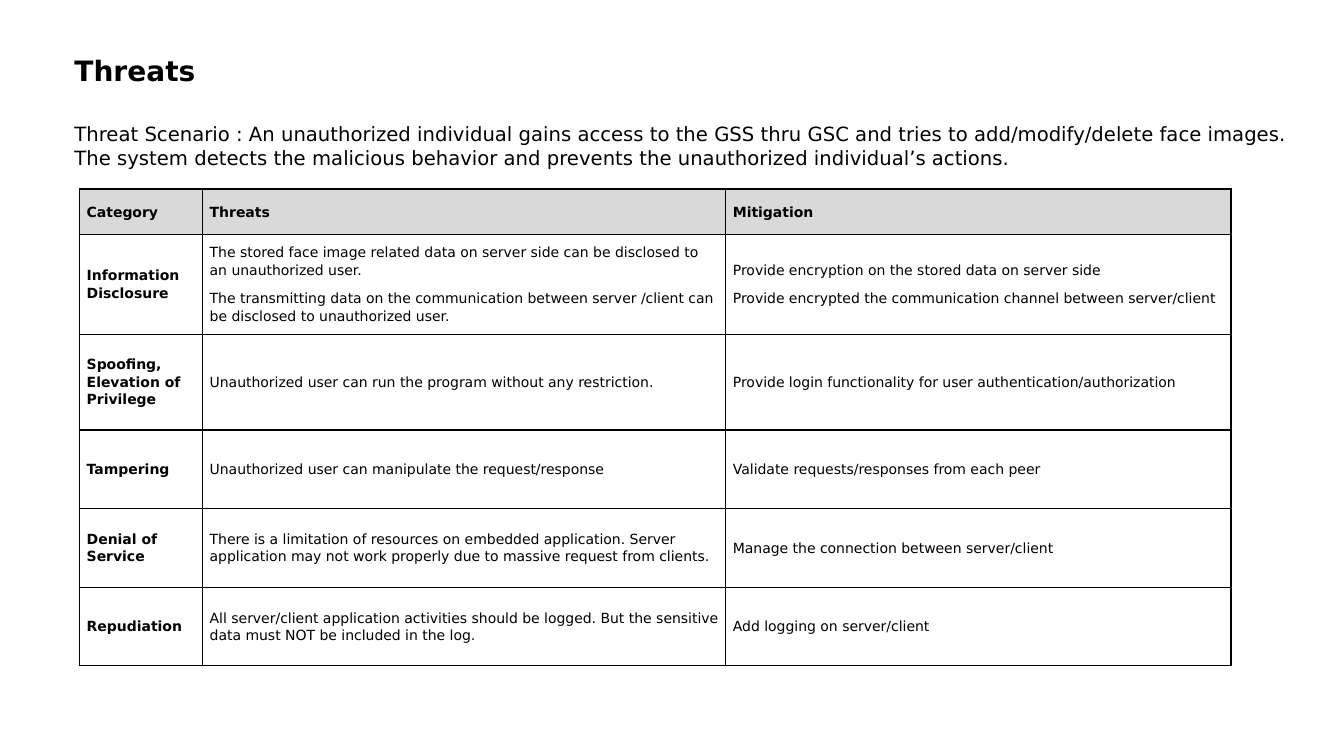
import pptx
import pptx.dml.color
import pptx.enum.text
import pptx.oxml
import pptx.oxml.ns
import pptx.util
from dataclasses import dataclass

SLIDE_W = pptx.util.Inches(13.33)
SLIDE_H = pptx.util.Inches(7.5)


@dataclass(frozen=True)
class Theme:
    font: str = "DejaVu Sans"
    ink: str = "000000"
    paper: str = "FFFFFF"
    header: str = "D9D9D9"
    title_size: int = 20
    scenario_size: int = 14
    table_size: int = 10
    border: int = 1


THEME = Theme()
MIDDLE = pptx.enum.text.MSO_ANCHOR.MIDDLE
TOP = pptx.enum.text.MSO_ANCHOR.TOP

SCENARIO = (
    "Threat Scenario : An unauthorized individual gains access to the GSS thru GSC "
    "and tries to add/modify/delete face images. The system detects the malicious "
    "behavior and prevents the unauthorized individual’s actions."
)

# Column widths and row heights, in percent of the slide
COLUMNS = [9.15, 38.93, 37.58]
ROWS = [6, 13.2, 12.67, 10.4, 10.4, 10.4]

# Each cell is a list of paragraphs
THREATS = [
    (["Category"], ["Threats"], ["Mitigation"]),
    (["Information Disclosure"],
     ["The stored face image related data on server side can be disclosed to an "
      "unauthorized user.",
      "The transmitting data on the communication between server /client can be "
      "disclosed to unauthorized user."],
     ["Provide encryption on the stored data on server side",
      "Provide encrypted the communication channel between server/client"]),
    (["Spoofing, Elevation of Privilege"],
     ["Unauthorized user can run the program without any restriction."],
     ["Provide login functionality for user authentication/authorization"]),
    (["Tampering"],
     ["Unauthorized user can manipulate the request/response"],
     ["Validate requests/responses from each peer"]),
    (["Denial of Service"],
     ["There is a limitation of resources on embedded application. Server application "
      "may not work properly due to massive request from clients."],
     ["Manage the connection between server/client"]),
    (["Repudiation"],
     ["All server/client application activities should be logged. But the sensitive "
      "data must NOT be included in the log."],
     ["Add logging on server/client"]),
]


def across(percent):
    return round(SLIDE_W * percent / 100)


def down(percent):
    return round(SLIDE_H * percent / 100)


def write(tf, paragraphs, size, bold=False, spacing=None, after=None):
    """Fill a text frame with evenly formatted paragraphs."""
    tf.word_wrap = True
    for i, text in enumerate(paragraphs):
        p = tf.paragraphs[0] if i == 0 else tf.add_paragraph()
        if spacing is not None:
            p.line_spacing = spacing
        if after is not None:
            p.space_after = pptx.util.Pt(after)
        r = p.add_run()
        r.text = text
        r.font.name = THEME.font
        r.font.size = pptx.util.Pt(size)
        r.font.bold = bold
        r.font.color.rgb = pptx.dml.color.RGBColor.from_string(THEME.ink)


def add_text(slide, left, top, width, height, text, anchor=TOP, **style):
    sp = slide.shapes.add_textbox(across(left), down(top), across(width), down(height))
    sp.text_frame.vertical_anchor = anchor
    write(sp.text_frame, [text], **style)


def set_borders(cell):
    tc_pr = cell._tc.get_or_add_tcPr()
    for i, side in enumerate(("lnL", "lnR", "lnT", "lnB")):
        tc_pr.insert(i, pptx.oxml.parse_xml(
            f'<a:{side} {pptx.oxml.ns.nsdecls("a")} w="{pptx.util.Pt(THEME.border)}">'
            f'<a:solidFill><a:srgbClr val="{THEME.ink}"/></a:solidFill></a:{side}>'))


def format_cell(cell, fill):
    cell.fill.solid()
    cell.fill.fore_color.rgb = pptx.dml.color.RGBColor.from_string(fill)
    cell.vertical_anchor = MIDDLE
    cell.margin_left = cell.margin_right = pptx.util.Inches(0.07)
    cell.margin_top = cell.margin_bottom = 0
    set_borders(cell)


def add_threat_table(slide, left, top):
    table = slide.shapes.add_table(
        len(ROWS), len(COLUMNS), across(left), down(top),
        across(sum(COLUMNS)), down(sum(ROWS))).table
    for column, width in zip(table.columns, COLUMNS):
        column.width = across(width)
    for row, height in zip(table.rows, ROWS):
        row.height = down(height)
    for i, row in enumerate(THREATS):
        for j, paragraphs in enumerate(row):
            cell = table.cell(i, j)
            format_cell(cell, THEME.header if i == 0 else THEME.paper)
            write(cell.text_frame, paragraphs, THEME.table_size,
                  bold=i == 0 or j == 0, spacing=1.07, after=8)


def main():
    prs = pptx.Presentation()
    prs.slide_width, prs.slide_height = SLIDE_W, SLIDE_H
    slide = prs.slides.add_slide(prs.slide_layouts[6])

    # Threat table
    add_threat_table(slide, 5.93, 25)

    # Scenario and title
    add_text(slide, 4.8, 15.47, 92.42, 7.6, SCENARIO, size=THEME.scenario_size)
    add_text(slide, 4.8, 3.47, 86.27, 12.13, "Threats", anchor=MIDDLE,
             size=THEME.title_size, bold=True, spacing=0.9)

    prs.save("out.pptx")


if __name__ == "__main__":
    main()
